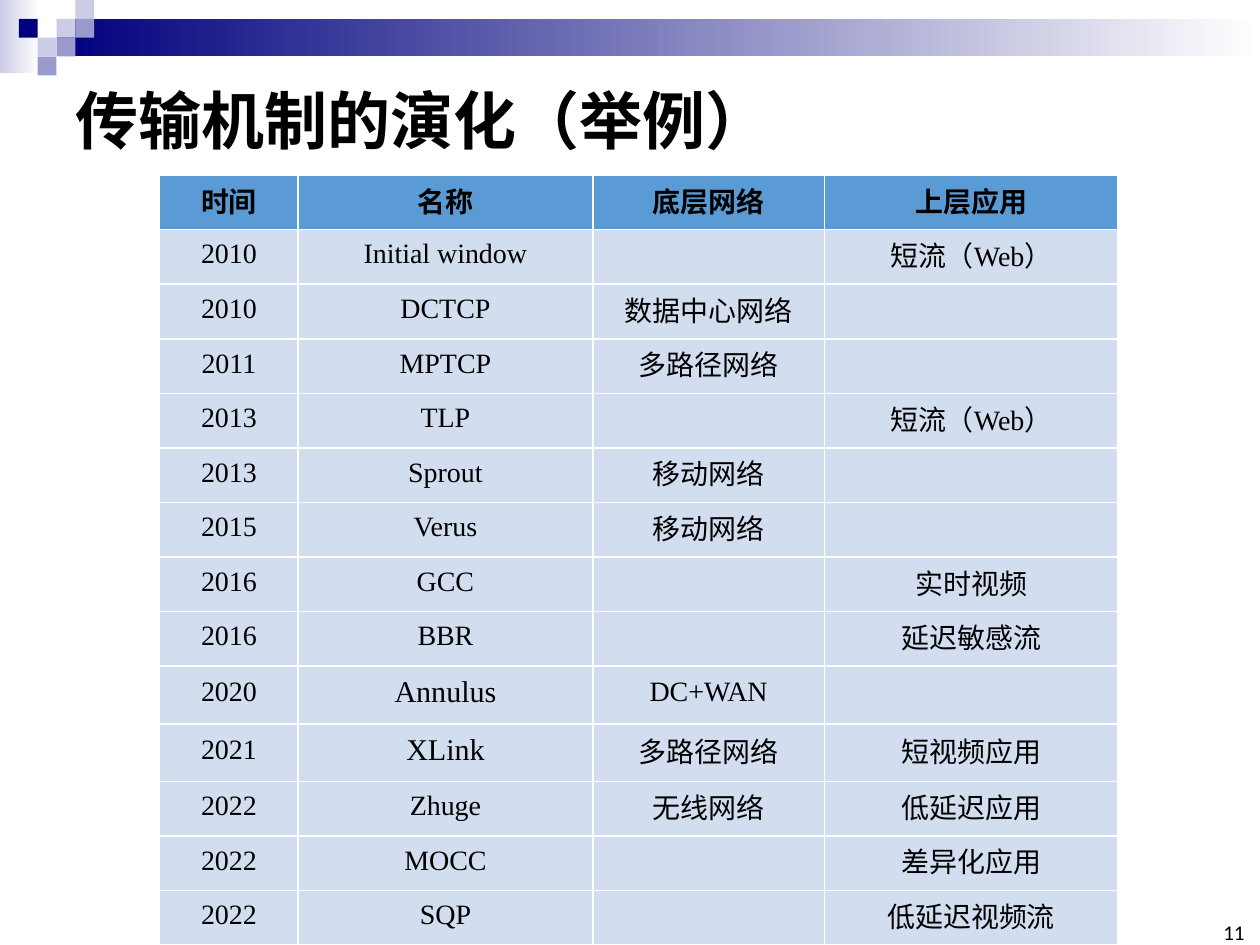
import pptx
import pptx.dml.color
import pptx.enum.shapes
import pptx.enum.text
import pptx.oxml
import pptx.oxml.ns
import pptx.util

Cm = pptx.util.Cm
ALIGN = pptx.enum.text.PP_ALIGN
ANCHOR = pptx.enum.text.MSO_ANCHOR

TITLE = "传输机制的演化（举例）"
PAGE_NUMBER = "11"
HEADER = ("时间", "名称", "底层网络", "上层应用")
MECHANISMS = [
    ("2010", "Initial window", "", "短流（Web）"),
    ("2010", "DCTCP", "数据中心网络", ""),
    ("2011", "MPTCP", "多路径网络", ""),
    ("2013", "TLP", "", "短流（Web）"),
    ("2013", "Sprout", "移动网络", ""),
    ("2015", "Verus", "移动网络", ""),
    ("2016", "GCC", "", "实时视频"),
    ("2016", "BBR", "", "延迟敏感流"),
    ("2020", "Annulus", "DC+WAN", ""),
    ("2021", "XLink", "多路径网络", "短视频应用"),
    ("2022", "Zhuge", "无线网络", "低延迟应用"),
    ("2022", "MOCC", "", "差异化应用"),
    ("2022", "SQP", "", "低延迟视频流"),
]
LARGE_NAMES = ("Annulus", "XLink")
COLUMN_WIDTHS = (2.79, 5.94, 4.67, 5.92)
ROW_HEIGHT, TALL_ROW_HEIGHT = 1.1, 1.16
TABLE_LEFT, TABLE_TOP = 3.22, 3.53

NAVY, LAVENDER, VIOLET, WHITE, BLACK = "00007D", "CCCCE6", "9999CC", "FFFFFF", "000000"
HEADER_FILL, BODY_FILL = "5B9BD5", "D2DEEF"

# Decorative squares: column, row and colour on a grid of equal steps
SQUARE = 0.38
SQUARES = [
    (3, 1, LAVENDER), (4, 0, LAVENDER), (4, 1, VIOLET), (2, 2, LAVENDER),
    (1, 1, NAVY), (3, 2, VIOLET), (2, 3, VIOLET),
]


def color(value):
    return pptx.dml.color.RGBColor.from_string(value)


def write_text(frame, text, size=16, font="Times New Roman", bold=False,
               align=ALIGN.CENTER):
    paragraph = frame.paragraphs[0]
    paragraph.alignment = align
    run = paragraph.add_run()
    run.text = text
    run.font.size = pptx.util.Pt(size)
    run.font.name = font
    run.font.bold = bold
    run.font.color.rgb = color(BLACK)


def add_text_box(slide, box, text, anchor, margins=None, **text_format):
    frame = slide.shapes.add_textbox(*map(Cm, box)).text_frame
    frame.word_wrap = True
    frame.vertical_anchor = anchor
    if margins is not None:
        frame.margin_left = frame.margin_right = Cm(margins)
        frame.margin_top = frame.margin_bottom = Cm(margins)
    write_text(frame, text, **text_format)


def add_rectangle(slide, box, *colors):
    """One colour gives a solid fill, two give a left-to-right gradient."""
    shape = slide.shapes.add_shape(
        pptx.enum.shapes.MSO_SHAPE.RECTANGLE, *map(Cm, box))
    shape.shadow.inherit = False
    shape.line.fill.background()
    if len(colors) == 1:
        shape.fill.solid()
        shape.fill.fore_color.rgb = color(colors[0])
    else:
        shape.fill.gradient()
        shape.fill.gradient_angle = 0
        for position, (stop, value) in enumerate(zip(shape.fill.gradient_stops, colors)):
            stop.position = position
            stop.color.rgb = color(value)


def add_borders(cell, value, points):
    properties = cell._tc.get_or_add_tcPr()
    width = pptx.util.Pt(points)
    for index, side in enumerate(("lnL", "lnR", "lnT", "lnB")):
        properties.insert(index, pptx.oxml.parse_xml(
            f'<a:{side} {pptx.oxml.ns.nsdecls("a")} w="{width}"><a:solidFill>'
            f'<a:srgbClr val="{value}"/></a:solidFill></a:{side}>'))


def add_mechanism_table(slide):
    rows = [HEADER] + MECHANISMS
    heights = [TALL_ROW_HEIGHT if row[1] in LARGE_NAMES else ROW_HEIGHT for row in rows]
    table = slide.shapes.add_table(
        len(rows), len(HEADER), Cm(TABLE_LEFT), Cm(TABLE_TOP),
        Cm(sum(COLUMN_WIDTHS)), Cm(sum(heights))).table
    for column, width in zip(table.columns, COLUMN_WIDTHS):
        column.width = Cm(width)
    for row_index, (row, height) in enumerate(zip(rows, heights)):
        table.rows[row_index].height = Cm(height)
        is_header = row_index == 0
        for column_index, text in enumerate(row):
            cell = table.cell(row_index, column_index)
            cell.margin_left = cell.margin_right = cell.margin_top = Cm(0.03)
            cell.margin_bottom = Cm(0.13)
            cell.vertical_anchor = ANCHOR.MIDDLE
            cell.fill.solid()
            cell.fill.fore_color.rgb = color(HEADER_FILL if is_header else BODY_FILL)
            add_borders(cell, WHITE, 1)
            if text:
                write_text(cell.text_frame, text, bold=is_header,
                           size=17.2 if text in LARGE_NAMES else 16,
                           font="Arial" if is_header else "Times New Roman")


def main():
    presentation = pptx.Presentation()
    presentation.slide_width, presentation.slide_height = Cm(25.4), Cm(19.05)
    slide = presentation.slides.add_slide(presentation.slide_layouts[6])

    add_rectangle(slide, (0, 0, 0.79, 1.47), LAVENDER, WHITE)
    bar_left = 3 * SQUARE
    add_rectangle(slide, (bar_left, SQUARE, 25.4 - bar_left, 2 * SQUARE), NAVY, WHITE)
    for column, row, value in SQUARES:
        add_rectangle(slide, (column * SQUARE, row * SQUARE, SQUARE, SQUARE), value)

    add_text_box(slide, (1.27, 1.27, 22.86, 2.26), TITLE, ANCHOR.MIDDLE,
                 size=36, font="Calibri", bold=True, align=ALIGN.LEFT)
    add_text_box(slide, (24.51, 18.62, 0.58, 0.43), PAGE_NUMBER, ANCHOR.BOTTOM,
                 margins=0, size=12, font="Calibri", align=ALIGN.RIGHT)
    add_mechanism_table(slide)
    presentation.save("out.pptx")


if __name__ == "__main__":
    main()
